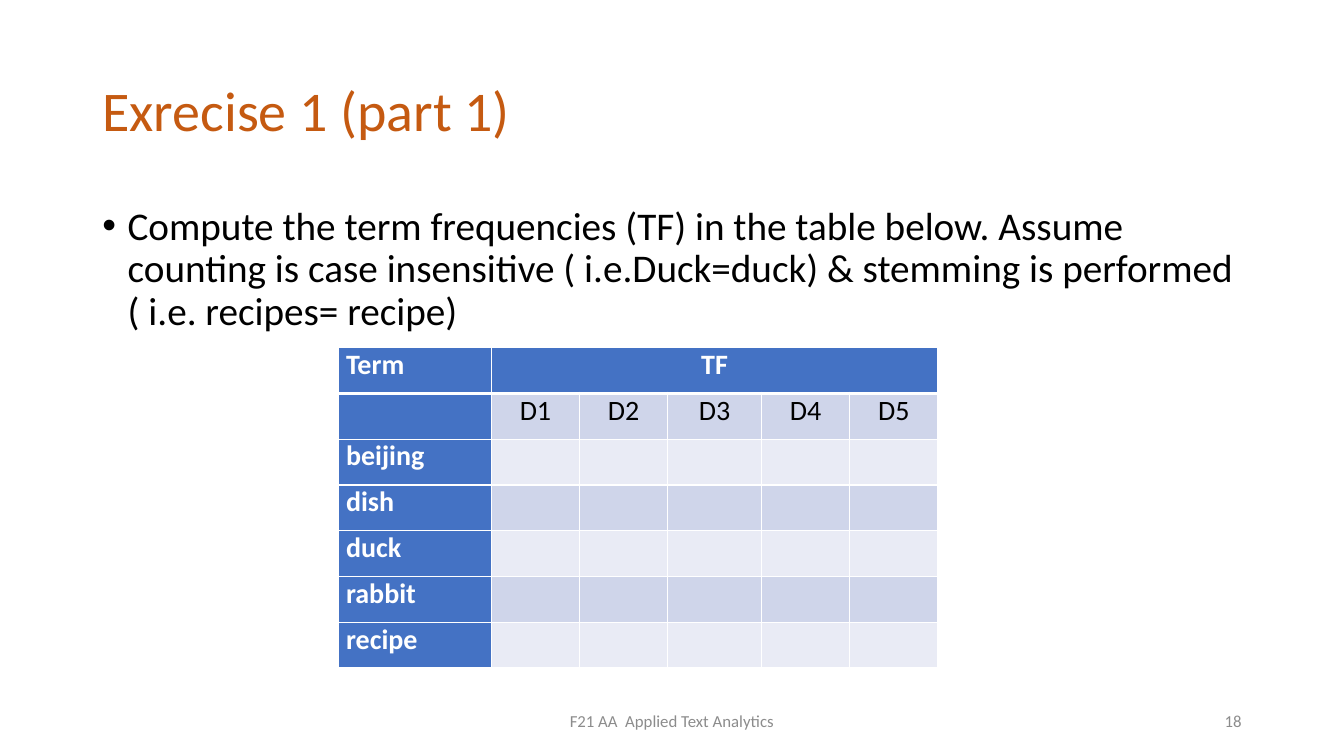
"""Builds the term frequency exercise slide."""
from dataclasses import dataclass

from lxml import etree
from pptx import Presentation
from pptx.dml.color import RGBColor
from pptx.enum.text import MSO_ANCHOR, MSO_AUTO_SIZE, PP_ALIGN
from pptx.oxml.ns import qn
from pptx.util import Pt

LEFT, CENTER, RIGHT = PP_ALIGN.LEFT, PP_ALIGN.CENTER, PP_ALIGN.RIGHT
TOP, MIDDLE = MSO_ANCHOR.TOP, MSO_ANCHOR.MIDDLE
NO_AUTOFIT = MSO_AUTO_SIZE.NONE

TITLE = "Exrecise 1 (part 1)"
TASK = ("Compute the term frequencies (TF) in the table below. Assume counting is "
        "case insensitive ( i.e.Duck=duck) & stemming is performed ( i.e. recipes= recipe)")
FOOTER = "F21 AA  Applied Text Analytics"
PAGE = "18"
DOCUMENTS = ["D1", "D2", "D3", "D4", "D5"]
TERMS = ["beijing", "dish", "duck", "rabbit", "recipe"]

TITLE_BOX = (66, 28.8, 828, 104.4)
BODY_BOX = (66, 144, 828, 342.6)
FOOTER_BOX = (318, 500.5, 324, 28.75)
PAGE_BOX = (678, 500.5, 216, 28.75)
TABLE_ORIGIN = (242, 248.4)
COLUMN_WIDTHS = [109, 63, 63, 67, 63, 63]
ROW_HEIGHT = 32.7
CELL_INSET = 5.2


@dataclass(frozen=True)
class Theme:
    """Font, type sizes and colours of the slide."""
    font: str = "Calibri"
    title_size: float = 40
    body_size: float = 28
    table_size: float = 20
    footer_size: float = 12
    accent: str = "C55A11"
    ink: str = "000000"
    muted: str = "8C8C8C"
    white: str = "FFFFFF"
    header: str = "4472C4"
    band_dark: str = "CFD5EA"
    band_light: str = "E9EBF5"


THEME = Theme()


def style(p, size, color, align=LEFT, bold=False):
    """Format a paragraph."""
    p.alignment = align
    p.font.name = THEME.font
    p.font.size = Pt(size)
    p.font.bold = bold
    p.font.color.rgb = RGBColor.from_string(color)


def fill_text(sp, box, text, size, color, align=LEFT, anchor=MIDDLE):
    """Place a text shape, write its text and return the paragraph."""
    sp.left, sp.top, sp.width, sp.height = map(Pt, box)
    tf = sp.text_frame
    tf.text = text
    tf.word_wrap = True
    tf.auto_size = NO_AUTOFIT
    tf.vertical_anchor = anchor
    p = tf.paragraphs[0]
    style(p, size, color, align)
    return p


def add_border(cell, side, width):
    """Draw one white cell border."""
    ln = etree.SubElement(cell._tc.get_or_add_tcPr(), qn(f"a:ln{side}"), w=str(Pt(width)))
    fill = etree.SubElement(ln, qn("a:solidFill"))
    etree.SubElement(fill, qn("a:srgbClr"), val=THEME.white)


def format_cell(cell, row, col, text):
    """Write and colour one table cell."""
    heading = row == 0 or col == 0
    band = THEME.band_dark if row % 2 else THEME.band_light
    cell.margin_left = cell.margin_right = Pt(CELL_INSET)
    cell.margin_top = cell.margin_bottom = 0
    for side in "LRTB":
        under_header = (row, side) in ((0, "B"), (1, "T"))
        add_border(cell, side, 3 if under_header else 1)
    cell.fill.solid()
    cell.fill.fore_color.rgb = RGBColor.from_string(THEME.header if heading else band)
    cell.text = text
    style(cell.text_frame.paragraphs[0], THEME.table_size,
          THEME.white if heading else THEME.ink, CENTER if col else LEFT, heading)


def add_frequency_table(slide):
    """Add the table of terms against documents."""
    blanks = [""] * len(DOCUMENTS)
    rows = [["Term", "TF"] + blanks[1:], [""] + DOCUMENTS]
    rows += [[term] + blanks for term in TERMS]
    size = (sum(COLUMN_WIDTHS), ROW_HEIGHT * len(rows))
    table = slide.shapes.add_table(len(rows), len(COLUMN_WIDTHS),
                                   *map(Pt, TABLE_ORIGIN + size)).table
    table.first_col = True
    for column, width in zip(table.columns, COLUMN_WIDTHS):
        column.width = Pt(width)
    for r, texts in enumerate(rows):
        table.rows[r].height = Pt(ROW_HEIGHT)
        for c, text in enumerate(texts):
            format_cell(table.cell(r, c), r, c, text)
    table.cell(0, 1).merge(table.cell(0, len(DOCUMENTS)))


def main():
    """Build and save the slide."""
    prs = Presentation()
    prs.slide_width, prs.slide_height = Pt(960), Pt(540)
    slide = prs.slides.add_slide(prs.slide_layouts[1])
    title, body = slide.placeholders

    p = fill_text(title, TITLE_BOX, TITLE, THEME.title_size, THEME.accent)
    p.line_spacing = 0.9

    p = fill_text(body, BODY_BOX, TASK, THEME.body_size, THEME.ink, anchor=TOP)
    p.line_spacing = 0.9
    p.space_before = Pt(10)
    pPr = p._p.get_or_add_pPr()
    pPr.set("marL", str(Pt(18)))
    pPr.set("indent", str(Pt(-18)))

    for text, box, align in ((FOOTER, FOOTER_BOX, CENTER), (PAGE, PAGE_BOX, RIGHT)):
        sp = slide.shapes.add_textbox(*map(Pt, box))
        fill_text(sp, box, text, THEME.footer_size, THEME.muted, align)

    add_frequency_table(slide)
    prs.save("out.pptx")


if __name__ == "__main__":
    main()
